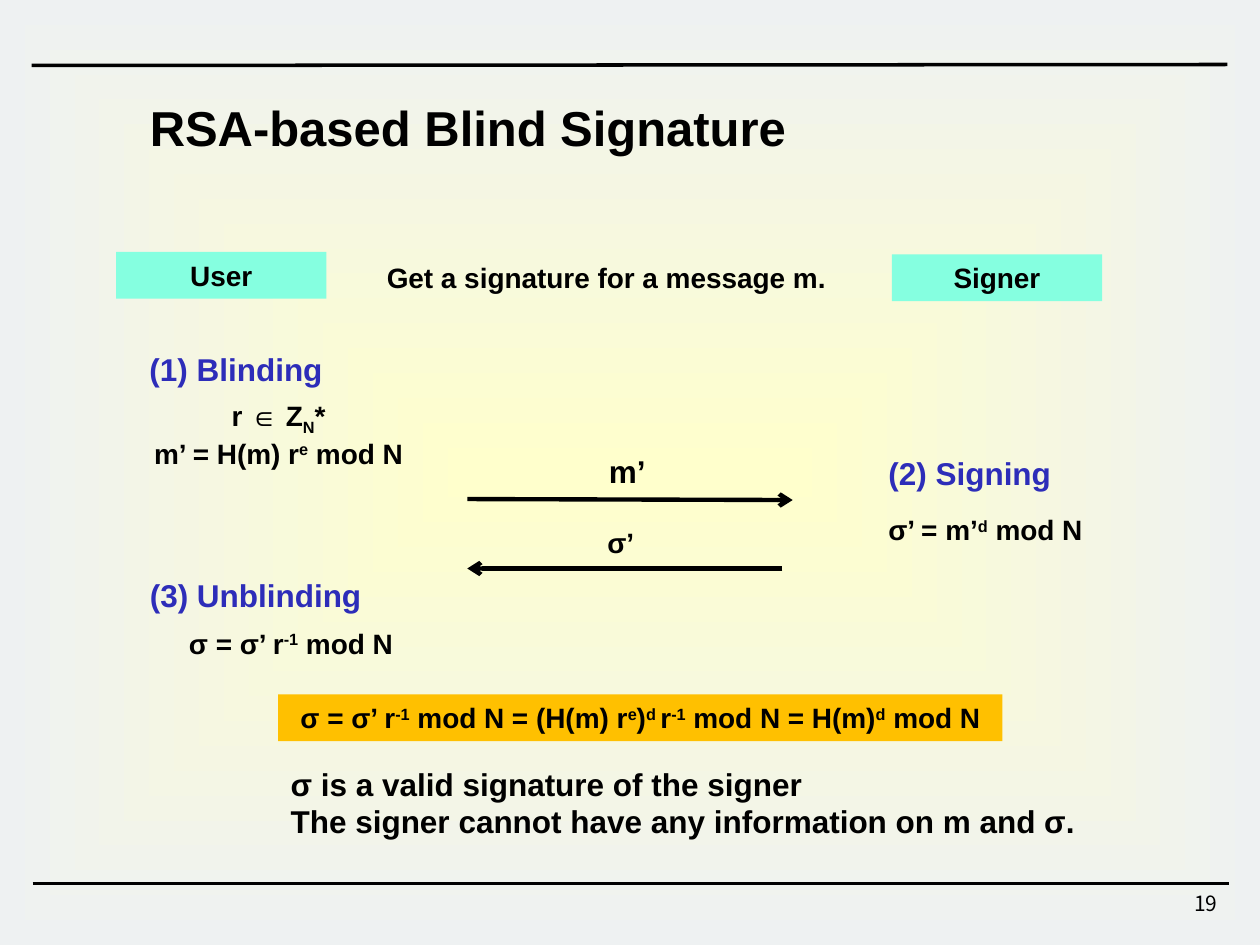
from lxml import etree
from pptx import Presentation
from pptx import util as u
from pptx.dml.color import RGBColor
from pptx.enum import shapes, text
from pptx.oxml.ns import qn

COLOURS = {
    "black": "000000", "heading": "2D2DB9", "role": "85FFE0",
    "result": "FFC000", "glow": "FFFFCC", "edge": "EEF1F2",
}
BASELINES = {"^": "30000", "_": "-25000"}
CENTER, LEFT, RIGHT = text.PP_ALIGN.CENTER, text.PP_ALIGN.LEFT, text.PP_ALIGN.RIGHT
WIDTH, HEIGHT = 25.4, 19.05
ROW = 0.94  # height of a one-line 16 pt box


def colour(name):
    return RGBColor.from_string(COLOURS[name])


class SlideBuilder:
    """Holds the slide and its text style; lengths are in centimetres."""

    def __init__(self, slide, font="Arial", size=16):
        self.slide, self.font, self.size = slide, font, size

    def fill_text(self, shape, lines, size=None, ink="black", align=CENTER,
                  bold=True, font=None, wrap=True):
        """Set the lines; a piece between bars starting with ^ or _ is raised or lowered."""
        frame = shape.text_frame
        frame.word_wrap = wrap
        for index, line in enumerate(lines):
            paragraph = frame.add_paragraph() if index else frame.paragraphs[0]
            paragraph.alignment = align
            paragraph.font.name = font or self.font
            paragraph.font.size = u.Pt(size or self.size)
            paragraph.font.bold = bold
            paragraph.font.color.rgb = colour(ink)
            for piece in line.split("|"):
                run = paragraph.add_run()
                run.text = piece.lstrip("^_")
                if piece[0] in BASELINES:
                    run.font._element.set("baseline", BASELINES[piece[0]])

    def label(self, left, top, width, height, *lines, **style):
        box = self.slide.shapes.add_textbox(*map(u.Cm, (left, top, width, height)))
        self.fill_text(box, lines, **style)

    def heading(self, left, top, width, line):
        self.label(left, top, width, 1.02, line, size=18, ink="heading", wrap=False)

    def rectangle(self, left, top, width, height):
        shape = self.slide.shapes.add_shape(
            shapes.MSO_SHAPE.RECTANGLE, *map(u.Cm, (left, top, width, height)))
        shape.shadow.inherit = False
        shape.line.fill.background()
        return shape

    def banner(self, left, top, width, fill, line):
        shape = self.rectangle(left, top, width, ROW)
        shape.fill.solid()
        shape.fill.fore_color.rgb = colour(fill)
        self.fill_text(shape, [line])

    def backdrop(self, inner, outer):
        """Fill the slide with a gradient that spreads from its centre."""
        shape = self.rectangle(0, 0, WIDTH, HEIGHT)
        shape.fill.gradient()
        for stop, name, position in zip(shape.fill.gradient_stops, (inner, outer), (0, 1)):
            stop.color.rgb = colour(name)
            stop.position = position
        gradient = shape.element.spPr.find(qn("a:gradFill"))
        linear = gradient.find(qn("a:lin"))
        spread = etree.Element(qn("a:path"), {"path": "shape"})
        etree.SubElement(spread, qn("a:fillToRect"), dict.fromkeys("ltrb", "50000"))
        gradient.replace(linear, spread)

    def line(self, x1, y1, x2, y2, weight, arrow=False):
        connector = self.slide.shapes.add_connector(
            shapes.MSO_CONNECTOR.STRAIGHT, *map(u.Cm, (x1, y1, x2, y2)))
        connector.line.color.rgb = colour("black")
        connector.line.width = u.Pt(weight)
        properties = connector.element.spPr
        if arrow:
            etree.SubElement(properties.find(qn("a:ln")), qn("a:tailEnd"), {"type": "arrow"})
        etree.SubElement(properties, qn("a:effectLst"))


def main():
    presentation = Presentation()
    presentation.slide_width, presentation.slide_height = u.Cm(WIDTH), u.Cm(HEIGHT)
    builder = SlideBuilder(presentation.slides.add_slide(presentation.slide_layouts[6]))

    # Background, rules and page number
    builder.backdrop("glow", "edge")
    builder.line(0.64, 1.32, 24.74, 1.3, 2)
    builder.line(0.66, 17.81, 24.77, 17.81, 2)
    builder.label(19.51, 17.83, 5.28, 0.84, "19", size=12, align=RIGHT,
                  bold=False, font="Noto Sans CJK KR")

    # Title
    builder.label(2.77, 1.85, 13.49, 1.45, "RSA-based Blind Signature",
                  size=28, align=LEFT, wrap=False)

    # Roles and goal
    builder.banner(2.34, 5.08, 4.24, "role", "User")
    builder.banner(17.98, 5.13, 4.24, "role", "Signer")
    builder.label(6.93, 5.13, 10.59, ROW, "Get a signature for a message m.")

    # Step 1: blinding
    builder.heading(2.74, 6.93, 4.04, "(1) Blinding")
    builder.label(2.49, 7.9, 6.25, 1.63, "r ∈ Z|_N|*", "m’ = H(m) r|^e| mod N")

    # Messages exchanged
    builder.label(12.01, 8.99, 1.27, 1.02, "m’", size=18, wrap=False)
    builder.line(9.42, 10.06, 15.98, 10.08, 2.5, arrow=True)
    builder.label(11.13, 10.46, 2.77, ROW, "σ’")
    builder.line(15.77, 11.46, 9.42, 11.46, 2.5, arrow=True)

    # Step 2: signing
    builder.heading(17.63, 9.02, 3.84, "(2) Signing")
    builder.label(16.13, 10.21, 7.47, ROW, "σ’ = m’|^d| mod N")

    # Step 3: unblinding
    builder.heading(2.74, 11.48, 4.83, "(3) Unblinding")
    builder.label(2.92, 12.5, 5.89, ROW, "σ = σ’ r|^-1| mod N")

    # Result and conclusion
    builder.banner(5.61, 14, 14.6, "result",
                   "σ = σ’ r|^-1| mod N = (H(m) r|^e|)|^d |r|^-1| mod N = H(m)|^d| mod N")
    builder.label(5.61, 15.29, 16.87, 1.8, "σ is a valid signature of the signer",
                  "The signer cannot have any information on m and σ.",
                  size=18, align=LEFT, wrap=False)

    presentation.save("out.pptx")


if __name__ == "__main__":
    main()
